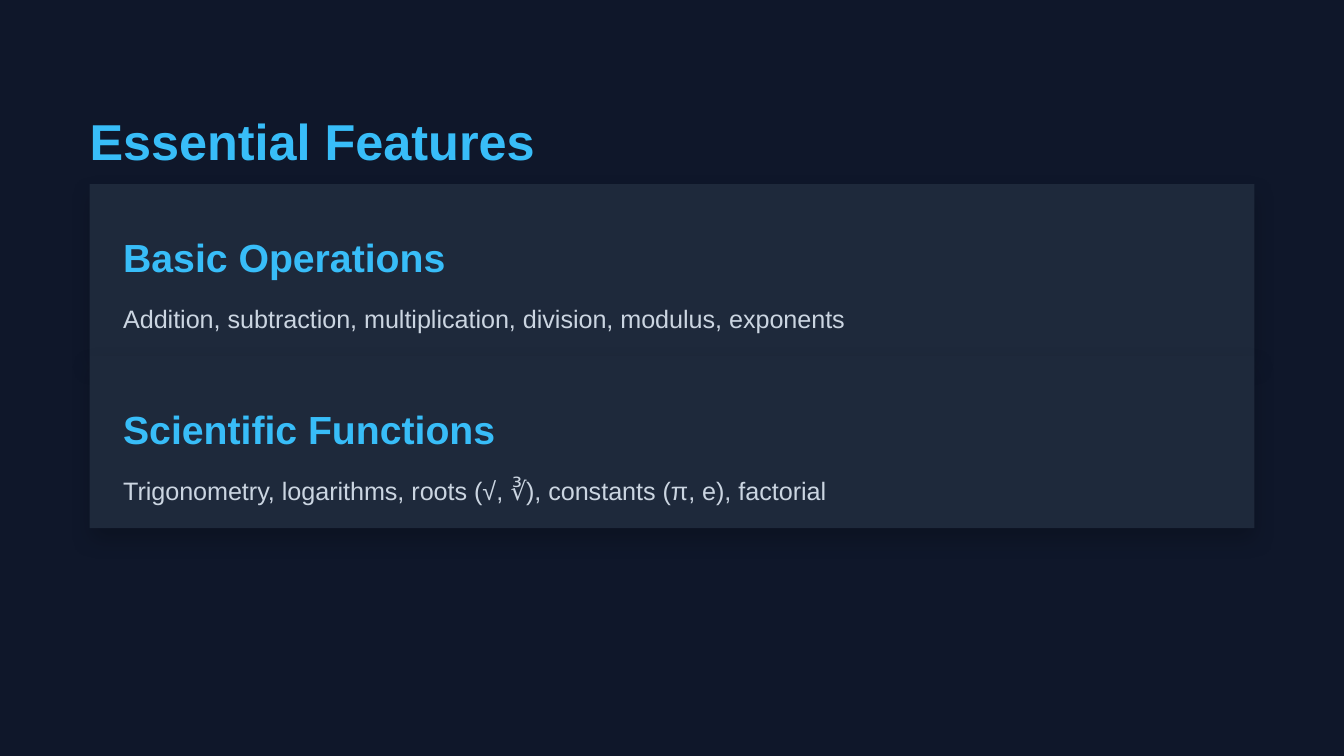
import pptx
import pptx.dml.color
import pptx.enum.shapes
import pptx.oxml
import pptx.oxml.ns
import pptx.util

Inches = pptx.util.Inches
Pt = pptx.util.Pt
RGBColor = pptx.dml.color.RGBColor

NAVY = RGBColor(0x0F, 0x17, 0x2A)
SLATE = RGBColor(0x1E, 0x29, 0x3B)
SKY = RGBColor(0x38, 0xBD, 0xF8)
MIST = RGBColor(0xCB, 0xD5, 0xE1)

TITLE = {"size": Pt(27), "bold": True, "color": SKY, "spacing": Pt(43.2)}
HEADING = {"size": Pt(21), "bold": True, "color": SKY, "spacing": Pt(33.6)}
BODY = {"size": Pt(13.5), "bold": False, "color": MIST, "spacing": Pt(25.2)}

SLIDE_WIDTH = 10
SLIDE_HEIGHT = SLIDE_WIDTH * 9 / 16
MARGIN = SLIDE_WIDTH / 15
CARD_TOP = 1.37
CARD_WIDTH, CARD_HEIGHT = SLIDE_WIDTH - 2 * MARGIN, 1.28
PADDING = 0.25
TEXT_WIDTH = 8.33

FEATURES = [
    ("Basic Operations",
     "Addition, subtraction, multiplication, division, modulus, exponents"),
    ("Scientific Functions",
     "Trigonometry, logarithms, roots (√, ∛), constants (π, e), factorial"),
]


class FeatureSlide:
    font_name = "Arial"

    def __init__(self, deck):
        self.slide = deck.slides.add_slide(deck.slide_layouts[6])
        fill = self.slide.background.fill
        fill.solid()
        fill.fore_color.rgb = NAVY

    def card(self, left, top, width, height):
        """Add a borderless panel with a soft shadow below it."""
        panel = self.slide.shapes.add_shape(
            pptx.enum.shapes.MSO_SHAPE.RECTANGLE,
            Inches(left), Inches(top), Inches(width), Inches(height))
        panel.fill.solid()
        panel.fill.fore_color.rgb = SLATE
        panel.line.fill.background()
        panel.shadow.inherit = False
        effects = panel.element.spPr.find(pptx.oxml.ns.qn("a:effectLst"))
        effects.append(pptx.oxml.parse_xml(
            f'<a:outerShdw {pptx.oxml.ns.nsdecls("a")} blurRad="{Pt(12)}" '
            f'dist="{Pt(6)}" dir="5400000" algn="ctr" rotWithShape="0">'
            '<a:srgbClr val="000000"><a:alpha val="20000"/></a:srgbClr>'
            '</a:outerShdw>'))

    def text(self, words, left, top, width, height, style):
        box = self.slide.shapes.add_textbox(
            Inches(left), Inches(top), Inches(width), Inches(height))
        frame = box.text_frame
        margins = dict.fromkeys(
            ("margin_left", "margin_top", "margin_right", "margin_bottom"), 0)
        for name, value in {"word_wrap": True, **margins}.items():
            setattr(frame, name, value)
        para = frame.paragraphs[0]
        para.line_spacing = style["spacing"]
        span = para.add_run()
        span.text = words
        span.font.name = self.font_name
        for name in ("size", "bold"):
            setattr(span.font, name, style[name])
        span.font.color.rgb = style["color"]


def main():
    deck = pptx.Presentation()
    deck.slide_width = Inches(SLIDE_WIDTH)
    deck.slide_height = Inches(SLIDE_HEIGHT)
    page = FeatureSlide(deck)

    card_tops = [CARD_TOP + row * CARD_HEIGHT for row in range(len(FEATURES))]
    for top in card_tops:
        page.card(MARGIN, top, CARD_WIDTH, CARD_HEIGHT)

    page.text("Essential Features", MARGIN, MARGIN, 8.84, 0.45, TITLE)
    text_left = MARGIN + PADDING
    for top, (heading, details) in zip(card_tops, FEATURES):
        page.text(heading, text_left, top + PADDING, TEXT_WIDTH, 0.35, HEADING)
        page.text(details, text_left, top + 0.76, TEXT_WIDTH, 0.26, BODY)

    deck.save("out.pptx")


if __name__ == "__main__":
    main()
